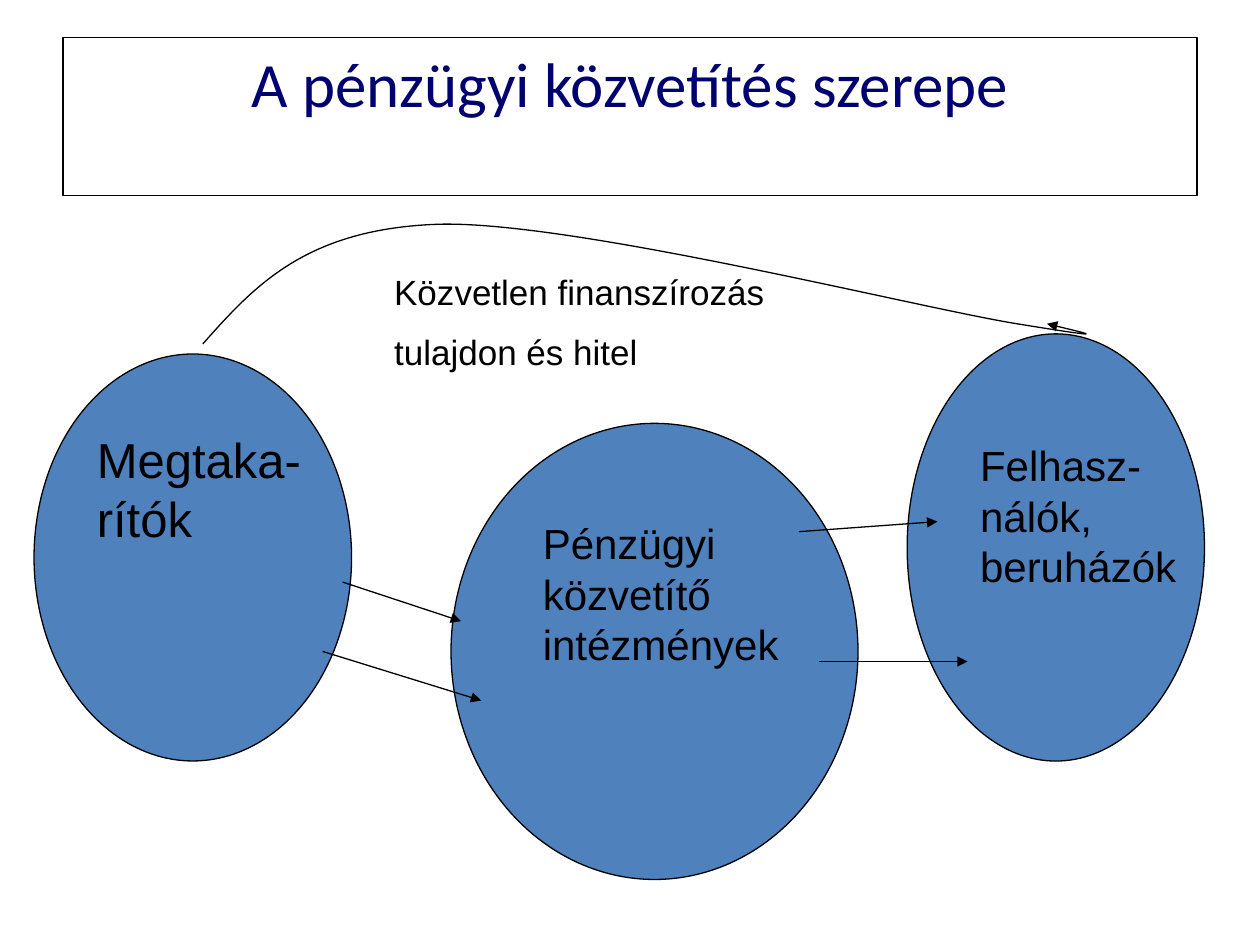
from lxml.etree import SubElement
from pptx import Presentation
from pptx.dml.color import RGBColor
from pptx.enum.shapes import MSO_CONNECTOR, MSO_SHAPE
from pptx.enum.text import MSO_ANCHOR, PP_ALIGN
from pptx.oxml.ns import qn
from pptx.util import Inches, Pt

BLACK = RGBColor(0x00, 0x00, 0x00)
WHITE = RGBColor(0xFF, 0xFF, 0xFF)
NAVY = RGBColor(0x00, 0x00, 0x70)
BLUE = RGBColor(0x4F, 0x81, 0xBD)

TITLE = "A pénzügyi közvetítés szerepe"
# Ellipse bounds, label bounds, label text, label size
ACTORS = [
    ((0.27, 2.81, 2.52, 3.23), (0.67, 3.36, 2.05, 1.03), "Megtaka-rítók", 28),
    ((7.2, 2.65, 2.36, 3.39), (7.68, 3.44, 1.89, 1.3), "Felhasz-nálók, beruházók", 24),
    ((3.58, 3.36, 3.23, 3.62), (4.21, 4.06, 2.36, 1.3), "Pénzügyi közvetítő intézmények", 24),
]
DIRECT_LABEL = ["Közvetlen finanszírozás", "tulajdon és hitel"]
DIRECT_BOUNDS = (3.03, 2.1, 4.17, 0.93)
# Start point, then two control points and an end point for each curve segment
DIRECT_CURVE = [
    (1.61, 2.73),
    (2.02, 2.27), (2.43, 1.81), (3.5, 1.78),
    (4.58, 1.76), (7.27, 2.44), (8.07, 2.57),
    (8.87, 2.7), (8.59, 2.64), (8.31, 2.57),
]
FLOWS = [
    ((2.72, 4.62), (3.66, 4.93)),
    ((2.56, 5.17), (3.82, 5.56)),
    ((6.34, 4.22), (7.44, 4.14)),
    ((6.5, 5.25), (7.68, 5.25)),
]


def inches(values):
    return [Inches(value) for value in values]


def outline(shape):
    shape.line.color.rgb = BLACK
    shape.line.width = Pt(0.75)


def add_arrowhead(shape):
    SubElement(shape.line._get_or_add_ln(), qn("a:tailEnd"), type="triangle")


def add_label(slide, bounds, lines, size):
    frame = slide.shapes.add_textbox(*inches(bounds)).text_frame
    frame.word_wrap = True
    frame.text = "\n".join(lines)
    for index, para in enumerate(frame.paragraphs):
        para.font.name = "Arial"
        para.font.size = Pt(size)
        para.font.color.rgb = BLACK
        if index:
            para.space_before = Pt(size / 2)


def add_actor(slide, bounds, label_bounds, label, size):
    ellipse = slide.shapes.add_shape(MSO_SHAPE.OVAL, *inches(bounds))
    ellipse.shadow.inherit = False
    ellipse.fill.solid()
    ellipse.fill.fore_color.rgb = BLUE
    outline(ellipse)
    add_label(slide, label_bounds, [label], size)


def add_curve(slide, points):
    """Draw a freeform and turn each three line steps into one Bezier segment."""
    start, *rest = [inches(point) for point in points]
    builder = slide.shapes.build_freeform(*start)
    builder.add_line_segments(rest, close=False)
    curve = builder.convert_to_shape()
    curve.shadow.inherit = False
    curve.fill.background()
    outline(curve)
    add_arrowhead(curve)
    outline_path = next(curve._element.iter(qn("a:path")))
    steps = outline_path.findall(qn("a:lnTo"))
    for first in range(0, len(steps), 3):
        segment = SubElement(outline_path, qn("a:cubicBezTo"))
        for step in steps[first:first + 3]:
            segment.append(step[0])
            outline_path.remove(step)


def add_flow(slide, start, end):
    arrow = slide.shapes.add_connector(MSO_CONNECTOR.STRAIGHT, *inches(start + end))
    outline(arrow)
    add_arrowhead(arrow)
    SubElement(arrow._element.spPr, qn("a:effectLst"))


def add_title(slide):
    title = slide.shapes.title
    title.left, title.top, title.width, title.height = inches((0.5, 0.3, 9, 1.25))
    title.fill.solid()
    title.fill.fore_color.rgb = WHITE
    outline(title)
    frame = title.text_frame
    frame.text = TITLE
    frame.vertical_anchor = MSO_ANCHOR.TOP
    para = frame.paragraphs[0]
    para.alignment = PP_ALIGN.CENTER
    para.font.name = "Calibri"
    para.font.size = Pt(36)
    para.font.color.rgb = NAVY


def main():
    deck = Presentation()
    deck.slide_width, deck.slide_height = Inches(10), Inches(7.5)
    slide = deck.slides.add_slide(deck.slide_layouts.get_by_name("Title Only"))
    add_title(slide)
    savers, users, intermediaries = ACTORS
    add_actor(slide, *savers)
    add_actor(slide, *users)
    add_curve(slide, DIRECT_CURVE)
    add_label(slide, DIRECT_BOUNDS, DIRECT_LABEL, 20)
    add_actor(slide, *intermediaries)
    for start, end in FLOWS:
        add_flow(slide, start, end)
    deck.save("out.pptx")


if __name__ == "__main__":
    main()
